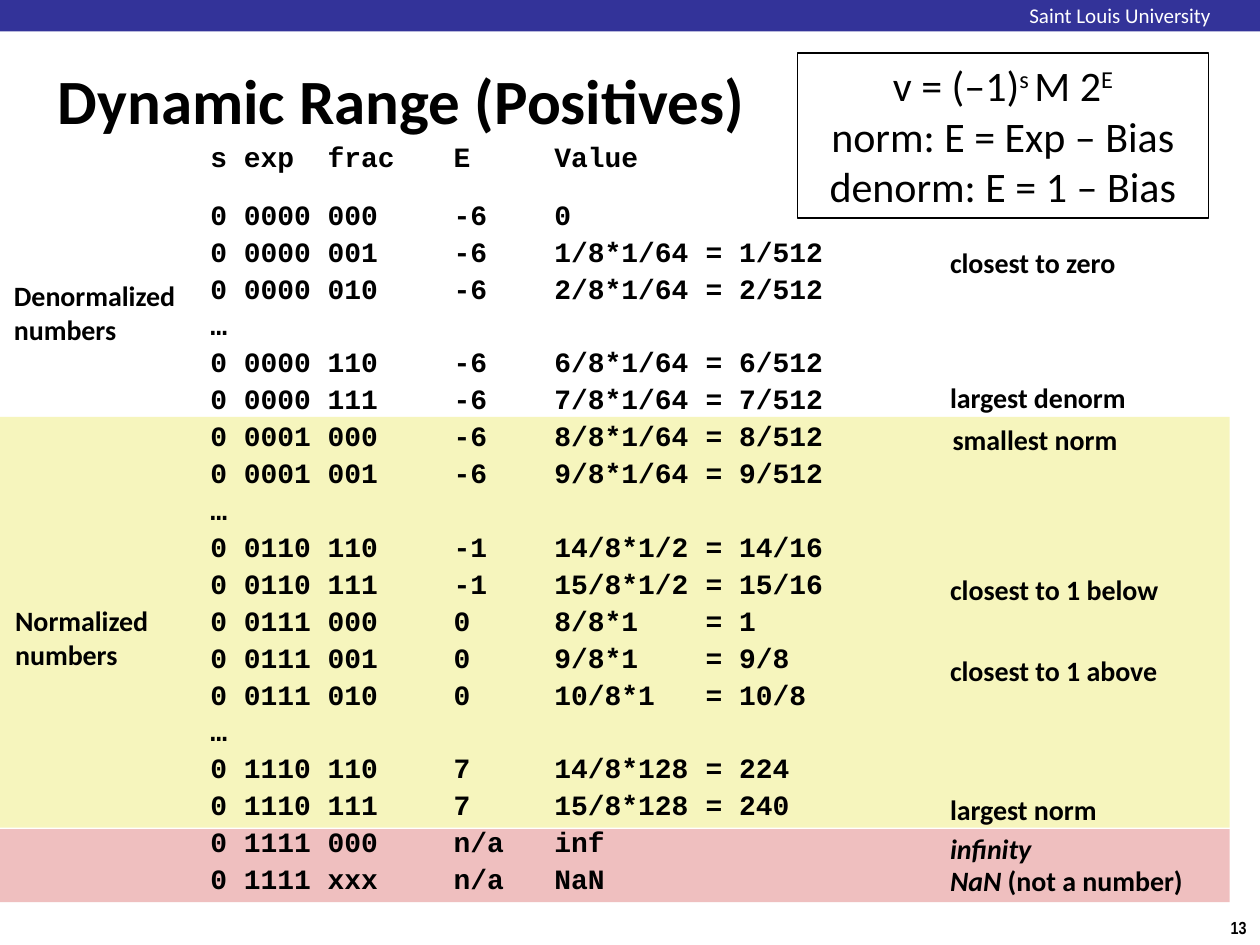
"""Builds the slide on the dynamic range of positive floating-point numbers."""
import pptx
import pptx.dml.color
import pptx.enum.shapes
import pptx.enum.text
import pptx.oxml.ns
import pptx.util
from lxml import etree

RGBColor = pptx.dml.color.RGBColor
BLACK = RGBColor(0x00, 0x00, 0x00)
WHITE = RGBColor(0xFF, 0xFF, 0xFF)
NAVY = RGBColor(0x33, 0x33, 0x99)
YELLOW = RGBColor(0xF6, 0xF5, 0xBD)
PINK = RGBColor(0xEF, 0xBF, 0xBF)

LEFT = pptx.enum.text.PP_ALIGN.LEFT
CENTER = pptx.enum.text.PP_ALIGN.CENTER
COLUMNS, ROWS = 40, 30
TAB_STOPS = (0.93, 1.93, 2.73, 3.93)

NUMBERS = (
    "s exp\tfrac\tE\tValue",
    "0 0000\t000\t-6\t0",
    "0 0000\t001\t-6\t1/8*1/64\t= 1/512",
    "0 0000\t010\t-6\t2/8*1/64\t= 2/512",
    "…",
    "0 0000\t110\t-6\t6/8*1/64\t= 6/512",
    "0 0000\t111\t-6\t7/8*1/64\t= 7/512",
    "0 0001\t000\t-6\t8/8*1/64\t= 8/512",
    "0 0001\t001\t-6\t9/8*1/64\t= 9/512",
    "…",
    "0 0110\t110\t-1\t14/8*1/2\t= 14/16",
    "0 0110\t111\t-1\t15/8*1/2\t= 15/16",
    "0 0111\t000\t0\t8/8*1\t= 1",
    "0 0111\t001\t0\t9/8*1\t= 9/8",
    "0 0111\t010\t0\t10/8*1\t= 10/8",
    "…",
    "0 1110\t110\t7\t14/8*128\t= 224",
    "0 1110\t111\t7\t15/8*128\t= 240",
    "0 1111\t000\tn/a\tinf",
    "0 1111\txxx\tn/a\tNaN",
)

NOTES = (
    (30, 7.64, 6.64, ["closest to zero"]),
    (30, 11.92, 6.84, ["largest denorm"]),
    (30.08, 13.24, 6.44, ["smallest norm"]),
    (30, 18, 8.08, ["closest to 1 below"]),
    (30, 20.6, 8.12, ["closest to 1 above"]),
    (30, 25, 5.76, ["largest norm"]),
    (0.28, 8.68, 6.2, ["Denormalized", "numbers"]),
    (0.32, 19, 5.16, ["Normalized", "numbers"]),
    (30, 26.24, 2.96, [[("infinity", {"italic": True})]]),
    (30, 27.24, 8, [[("NaN", {"italic": True}), (" (not a number)", {})]]),
)

FORMULAS = (
    [("v = (–1)", {}), ("s ", {"raised": True}), ("M 2", {}), ("E", {"raised": True})],
    "norm: E = Exp – Bias",
    "denorm: E = 1 – Bias",
)


class RangeSlide:
    """Holds the text style, the grid and the current slide."""

    def __init__(self, deck):
        self.column = deck.slide_width / COLUMNS
        self.row = deck.slide_height / ROWS
        self.slide = deck.slides.add_slide(deck.slide_layouts[5])

    def place(self, left, top, width, height):
        return (round(left * self.column), round(top * self.row),
                round(width * self.column), round(height * self.row))

    def style(self, paragraph, size, face="Calibri", bold=True, color=BLACK, align=LEFT):
        paragraph.alignment = align
        font = paragraph.font
        font.size, font.name, font.bold = pptx.util.Pt(size), face, bold
        font.color.rgb = color

    def fill_text(self, frame, lines, size, inset=0.04, wrap=False, tabs=(), **look):
        frame.word_wrap = wrap
        frame.margin_left = frame.margin_right = pptx.util.Inches(inset)
        frame.margin_top = frame.margin_bottom = pptx.util.Inches(min(inset, 0.05))
        for index, line in enumerate(lines):
            paragraph = frame.paragraphs[0] if index == 0 else frame.add_paragraph()
            self.add_runs(paragraph, line)
            if tabs:
                self.add_tabs(paragraph, tabs)
            self.style(paragraph, size, **look)
        return frame

    def add_runs(self, paragraph, line):
        for words, accent in [(line, {})] if isinstance(line, str) else line:
            run = paragraph.add_run()
            run.text = words
            if accent.get("italic"):
                run.font.italic = True
            if accent.get("raised"):
                run._r.get_or_add_rPr().set("baseline", "32000")

    def add_tabs(self, paragraph, stops):
        qn = pptx.oxml.ns.qn
        tab_list = etree.SubElement(paragraph._p.get_or_add_pPr(), qn("a:tabLst"))
        for stop in stops:
            etree.SubElement(tab_list, qn("a:tab"), pos=str(pptx.util.Inches(stop)), algn="l")

    def title(self, words, *spot):
        heading = self.slide.shapes.title
        heading.left, heading.top, heading.width, heading.height = self.place(*spot)
        frame = self.fill_text(heading.text_frame, [words], 36, wrap=True)
        frame.auto_size = pptx.enum.text.MSO_AUTO_SIZE.NONE
        frame.vertical_anchor = pptx.enum.text.MSO_ANCHOR.MIDDLE

    def text(self, lines, size, *spot, **look):
        box = self.slide.shapes.add_textbox(*self.place(*spot))
        return self.fill_text(box.text_frame, lines, size, **look)

    def band(self, color, *spot):
        band = self.slide.shapes.add_shape(
            pptx.enum.shapes.MSO_SHAPE.RECTANGLE, *self.place(*spot))
        band.shadow.inherit = False
        band.line.fill.background()
        if color is None:
            band.fill.background()
        else:
            band.fill.solid()
            band.fill.fore_color.rgb = color
        return band

    def framed(self, lines, size, *spot):
        frame = self.band(None, *spot)
        frame.line.color.rgb = BLACK
        frame.line.width = pptx.util.Pt(0.75)
        self.fill_text(frame.text_frame, lines, size, inset=0.1, wrap=True,
                       bold=False, align=CENTER)

    def number_list(self, lines, *spot):
        frame = self.text(lines, 16, *spot, inset=0, wrap=True,
                          tabs=TAB_STOPS, face="Courier New")
        for paragraph in frame.paragraphs:
            paragraph.line_spacing = 1.1
        frame.paragraphs[1].space_before = pptx.util.Pt(12)


def main():
    deck = pptx.Presentation()
    deck.slide_width, deck.slide_height = pptx.util.Inches(10), pptx.util.Inches(7.5)
    page = RangeSlide(deck)
    page.text(["13"], 10, 38.64, 28.92, 1.36, 1.08, face="Arial Narrow",
              align=CENTER, inset=0.1)
    page.band(NAVY, 0, 0, COLUMNS, 1)
    page.text(["Saint Louis University"], 12, 32.68, 0.08, 6.68, 0.76,
              inset=0, wrap=True, bold=False, color=WHITE)
    page.band(PINK, 0, 26.32, 39.04, 2.32)
    page.band(YELLOW, 0, 13.24, 39.04, 13.04)
    page.number_list(NUMBERS, 6.68, 4.32, 20.32, 24.32)
    page.title("Dynamic Range (Positives)", 1.68, 1.12, 36.68, 4.04)
    for left, top, width, lines in NOTES:
        page.text(lines, 16, left, top, width, 0.32 + 1.08 * len(lines))
    page.framed(FORMULAS, 24, 25.32, 1.68, 13.04, 5.24)
    deck.save("out.pptx")


if __name__ == "__main__":
    main()
